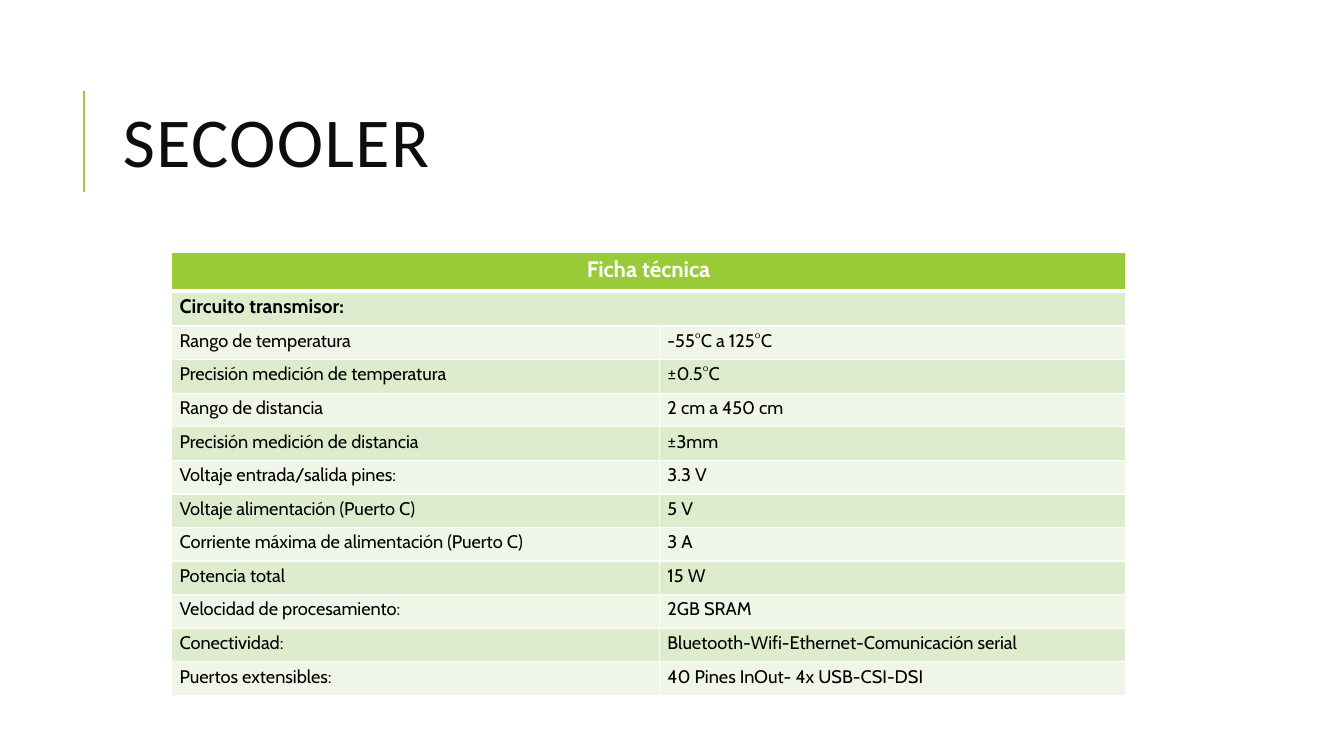
from dataclasses import dataclass

from lxml.etree import SubElement
from pptx import Presentation
from pptx.dml.color import RGBColor
from pptx.enum.shapes import MSO_CONNECTOR
from pptx.enum.text import MSO_ANCHOR, MSO_AUTO_SIZE, PP_ALIGN
from pptx.oxml.ns import qn
from pptx.util import Pt

# Content
TITLE = "SECOOLER"
TABLE_HEADING = "Ficha técnica"
SECTION = "Circuito transmisor:"
SPECIFICATIONS = [
    ("Rango de temperatura", "-55°C a 125°C"),
    ("Precisión medición de temperatura", "±0.5°C"),
    ("Rango de distancia", "2 cm a 450 cm"),
    ("Precisión medición de distancia", "±3mm"),
    ("Voltaje entrada/salida pines:", "3.3 V"),
    ("Voltaje alimentación (Puerto C)", "5 V"),
    ("Corriente máxima de alimentación (Puerto C)", "3 A"),
    ("Potencia total", "15 W"),
    ("Velocidad de procesamiento:", "2GB SRAM"),
    ("Conectividad:", "Bluetooth-Wifi-Ethernet-Comunicación serial"),
    ("Puertos extensibles:", "40 Pines InOut- 4x USB-CSI-DSI"),
]


@dataclass(frozen=True)
class Theme:
    accent: str = "99CB38"
    dark_band: str = "DEECCE"
    light_band: str = "EFF6E8"
    white: str = "FFFFFF"
    black: str = "000000"
    title_color: str = "0D0D0D"
    title_font: str = "Calibri"
    table_font: str = "Cabin"
    title_size: float = 50
    heading_size: float = 16
    section_size: float = 14
    body_size: float = 13


THEME = Theme()

# Layout, in points
SLIDE_SIZE = (960, 540)
TITLE_BOX = (80.6, 46.1, 765.4, 118.1)
RULE_X, RULE_TOP, RULE_BOTTOM = 60, 65, 137
TABLE_LEFT, TABLE_TOP = 122.7, 180.3
COLUMN_WIDTHS = [348.5, 332.6]
ROW_HEIGHTS = [27.4, 25.2] + [24] * len(SPECIFICATIONS)
CELL_MARGINS = {"margin_left": 5.6, "margin_right": 5.6,
                "margin_top": 2.8, "margin_bottom": 2.8}


def apply(target, values):
    for name, value in values.items():
        setattr(target, name, value)


def format_font(font, name, size, color, bold=False):
    apply(font, {"name": name, "size": Pt(size), "bold": bold})
    font.color.rgb = RGBColor.from_string(color)


def set_borders(cell, bottom_width):
    properties = cell._tc.get_or_add_tcPr()
    widths = {"a:lnL": 1, "a:lnR": 1, "a:lnT": 1, "a:lnB": bottom_width}
    for position, (tag, width) in enumerate(widths.items()):
        line = SubElement(properties, qn(tag), w=str(Pt(width)))
        fill = SubElement(line, qn("a:solidFill"))
        SubElement(fill, qn("a:srgbClr"), val=THEME.white)
        properties.insert(position, line)


def add_title(slide):
    title = slide.shapes.title
    apply(title, dict(zip(("left", "top", "width", "height"), map(Pt, TITLE_BOX))))
    frame = title.text_frame
    frame.text = TITLE
    apply(frame, {"vertical_anchor": MSO_ANCHOR.MIDDLE, "word_wrap": True,
                  "auto_size": MSO_AUTO_SIZE.NONE})
    paragraph = frame.paragraphs[0]
    apply(paragraph, {"alignment": PP_ALIGN.LEFT, "line_spacing": 0.8})
    run = paragraph.runs[0]
    format_font(run.font, THEME.title_font, THEME.title_size, THEME.title_color)
    run._r.get_or_add_rPr().set("spc", "100")


def add_rule(slide):
    rule = slide.shapes.add_connector(
        MSO_CONNECTOR.STRAIGHT, *map(Pt, (RULE_X, RULE_BOTTOM, RULE_X, RULE_TOP)))
    rule.line.width = Pt(1.5)
    rule.line.color.rgb = RGBColor.from_string(THEME.accent)
    SubElement(rule._element.spPr, qn("a:effectLst"))


def add_specification_table(slide):
    rows = [(TABLE_HEADING, ""), (SECTION, "")] + SPECIFICATIONS
    table = slide.shapes.add_table(
        len(rows), len(COLUMN_WIDTHS), Pt(TABLE_LEFT), Pt(TABLE_TOP),
        Pt(sum(COLUMN_WIDTHS)), Pt(sum(ROW_HEIGHTS))).table
    for column, width in zip(table.columns, COLUMN_WIDTHS):
        column.width = Pt(width)

    # Row styles: fill, type size, text colour, bold
    styles = [(THEME.accent, THEME.heading_size, THEME.white, True),
              (THEME.dark_band, THEME.section_size, THEME.black, True)]
    bands = (THEME.light_band, THEME.dark_band)
    styles += [(bands[index % 2], THEME.body_size, THEME.black, False)
               for index in range(len(SPECIFICATIONS))]

    for index, (texts, style) in enumerate(zip(rows, styles)):
        fill, size, color, bold = style
        table.rows[index].height = Pt(ROW_HEIGHTS[index])
        for cell, text in zip(table.rows[index].cells, texts):
            cell.fill.solid()
            cell.fill.fore_color.rgb = RGBColor.from_string(fill)
            apply(cell, {name: Pt(value) for name, value in CELL_MARGINS.items()})
            set_borders(cell, 3 if index == 0 else 1)
            paragraph = cell.text_frame.paragraphs[0]
            format_font(paragraph.font, THEME.table_font, size, color, bold)
            if text:
                run = paragraph.add_run()
                run.text = text
                format_font(run.font, THEME.table_font, size, color, bold)

    # Full-width heading and section rows
    for index in (0, 1):
        table.cell(index, 0).merge(table.cell(index, 1))
    table.cell(0, 0).text_frame.paragraphs[0].alignment = PP_ALIGN.CENTER


def main():
    presentation = Presentation()
    presentation.slide_width, presentation.slide_height = map(Pt, SLIDE_SIZE)
    slide = presentation.slides.add_slide(presentation.slide_layouts[5])
    add_rule(slide)
    add_title(slide)
    add_specification_table(slide)
    presentation.save("out.pptx")


if __name__ == "__main__":
    main()
